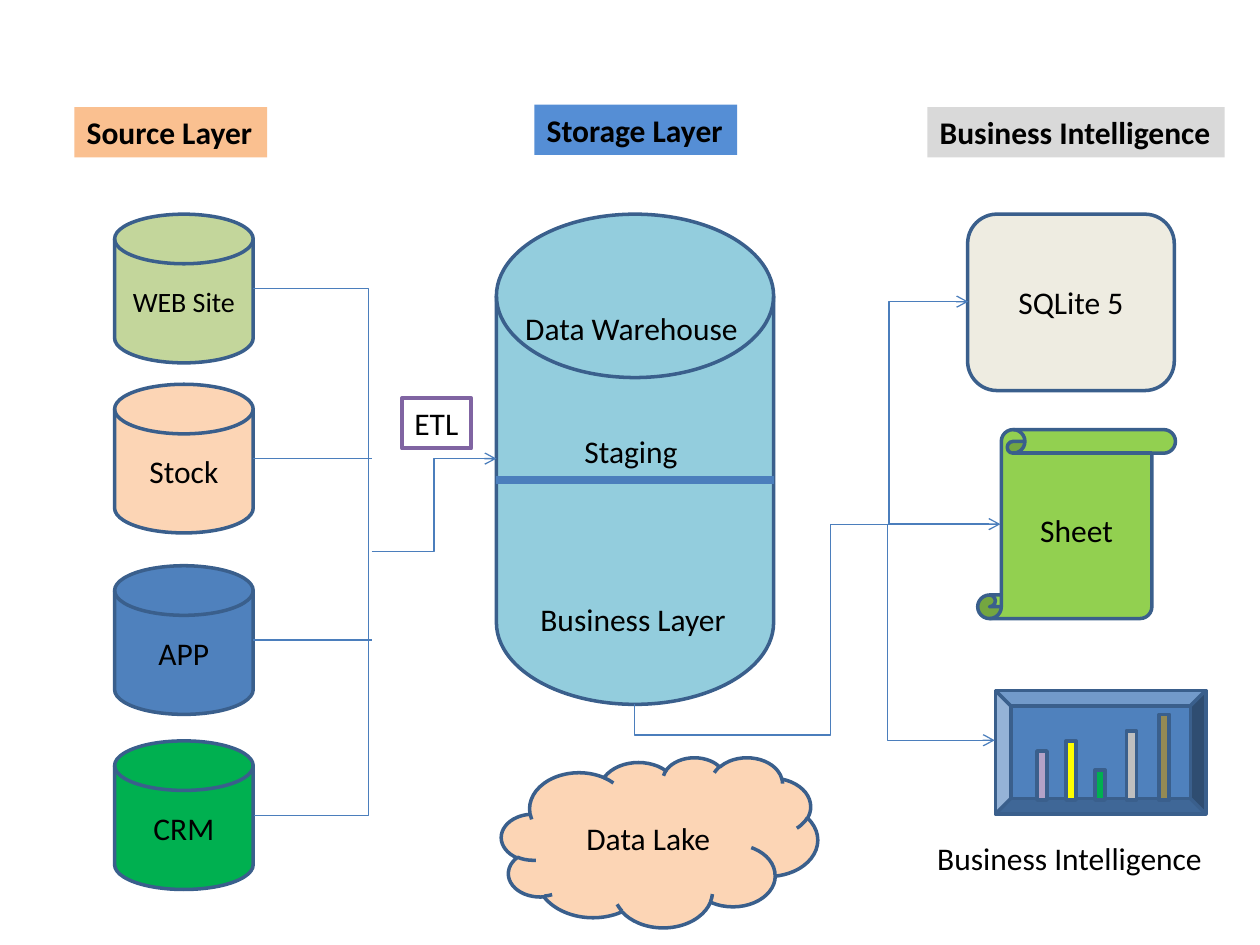
import pptx
import pptx.util
import pptx.dml.color
import pptx.enum.shapes
import pptx.enum.text
import pptx.oxml.ns
import lxml.etree

Inches = pptx.util.Inches
Pt = pptx.util.Pt
SHAPE = pptx.enum.shapes.MSO_SHAPE
ALIGN = pptx.enum.text.PP_ALIGN
qn = pptx.oxml.ns.qn
COLORS = {
    "black": "000000", "outline": "3A5F8C", "connector": "4B7EBC",
    "teal": "93CDDD", "sage": "C3D69B", "peach": "FCD5B5", "blue": "4F81BD",
    "green": "00B050", "cream": "EEECE1", "lime": "92D050", "orange": "FAC090",
    "sky": "558ED5", "gray": "D9D9D9", "violet": "8064A2", "lilac": "B3A2C7",
    "yellow": "FFFF00", "silver": "BFBFBF", "khaki": "948A54",
}
RGB = {name: pptx.dml.color.RGBColor.from_string(code) for name, code in COLORS.items()}

deck = pptx.Presentation()
deck.slide_width = Inches(10)
deck.slide_height = Inches(7.5)
page = deck.slides.add_slide(deck.slide_layouts[6])


def write(shape, text, size=18, bold=False, align=ALIGN.CENTER):
    para = shape.text_frame.paragraphs[0]
    para.alignment = align
    span = para.add_run()
    span.text = text
    span.font.name = "Calibri"
    span.font.size = Pt(size)
    span.font.bold = bold
    span.font.color.rgb = RGB["black"]


def connect(start, end, preset="line", turn=0, bends=(), arrow=False, width=0.75):
    line = page.shapes.add_connector(
        pptx.enum.shapes.MSO_CONNECTOR.STRAIGHT, *map(Inches, start + end))
    line.line.color.rgb = RGB["connector"]
    line.line.width = Pt(width)
    properties = line._element.spPr
    if turn:
        properties.find(qn("a:xfrm")).set("rot", str(turn * 60000))
    geometry = properties.find(qn("a:prstGeom"))
    geometry.set("prst", preset)
    for number, bend in enumerate(bends, 1):
        name = "adj" if preset == "line" else f"adj{number}"
        lxml.etree.SubElement(geometry.find(qn("a:avLst")), qn("a:gd"),
                              name=name, fmla=f"val {round(bend * 100000)}")
    if arrow:
        lxml.etree.SubElement(line.line._get_or_add_ln(), qn("a:tailEnd"), type="arrow")
    lxml.etree.SubElement(properties, qn("a:effectLst"))


DISK = SHAPE.FLOWCHART_MAGNETIC_DISK
blocks = [
    (DISK, 3.94, 1.7, 2.2, 3.89, "teal", "", 18),
    (DISK, 0.91, 1.7, 1.1, 1.18, "sage", "WEB Site", 16),
    (DISK, 0.91, 3.05, 1.1, 1.18, "peach", "Stock", 18),
    (DISK, 0.91, 4.49, 1.1, 1.18, "blue", "APP", 18),
    (DISK, 0.91, 5.88, 1.1, 1.18, "green", "CRM", 18),
    (SHAPE.FLOWCHART_ALTERNATE_PROCESS, 7.68, 1.7, 1.64, 1.4, "cream", "SQLite 5", 18),
    (SHAPE.VERTICAL_SCROLL, 7.76, 3.41, 1.57, 1.5, "lime", "Sheet", 18),
    (SHAPE.CLOUD, 3.98, 6.01, 2.51, 1.35, "peach", "Data Lake", 18),
    (SHAPE.BEVEL, 7.9, 5.48, 1.67, 0.98, "blue", "", 18),
]
bars = [(8.23, 0.39, "lilac"), (8.46, 0.47, "yellow"), (8.69, 0.24, "green"),
        (8.94, 0.55, "silver"), (9.2, 0.68, "khaki")]
for left, height, color in bars:
    blocks.append((SHAPE.RECTANGLE, left, 6.35 - height, 0.08, height, color, "", 18))

for preset, left, top, width, height, color, text, size in blocks:
    block = page.shapes.add_shape(preset, *map(Inches, (left, top, width, height)))
    block.shadow.inherit = False
    block.fill.solid()
    block.fill.fore_color.rgb = RGB[color]
    block.line.color.rgb = RGB["outline"]
    block.line.width = Pt(2)
    if text:
        block.text_frame.vertical_anchor = pptx.enum.text.MSO_ANCHOR.MIDDLE
        write(block, text, size)

connect((3.94, 3.81), (6.14, 3.81), width=4.5)
connect((6.75, 5.88), (5.33, 3.87), "bentConnector4", 90, (-0.175, 0.775))
connect((7.05, 4.16), (7.94, 4.16), arrow=True)
connect((8.33, 4.59), (6.61, 5.44), "bentConnector2", 270, arrow=True)
connect((8.25, 3.59), (6.49, 2.96), "bentConnector2", 90, arrow=True)
connect((2.01, 2.29), (2.02, 6.47), "bentConnector3", bends=(93,))
for middle in (3.64, 5.08):
    connect((2.01, middle), (2.95, middle))
connect((2.95, 4.38), (3.94, 3.64), "bentConnector3", bends=(0.5,), arrow=True)

labels = [
    ("Data Warehouse", 4.07, 2.4, 1.89, None, None),
    ("Staging", 4.54, 3.38, 0.95, None, None),
    ("Business Layer", 4.19, 4.71, 1.69, None, None),
    ("Business Intelligence", 7.34, 6.61, 2.33, None, None),
    ("Source Layer", 0.59, 0.85, 1.53, "orange", None),
    ("Storage Layer", 4.24, 0.83, 1.61, "sky", None),
    ("Business Intelligence", 7.36, 0.85, 2.36, "gray", None),
    ("ETL", 3.19, 3.16, 0.55, None, "violet"),
]
for text, left, top, width, fill, border in labels:
    box = page.shapes.add_textbox(*map(Inches, (left, top, width, 0.4)))
    box.text_frame.word_wrap = False
    box.text_frame.auto_size = pptx.enum.text.MSO_AUTO_SIZE.SHAPE_TO_FIT_TEXT
    if fill:
        box.fill.solid()
        box.fill.fore_color.rgb = RGB[fill]
    if border:
        box.line.color.rgb = RGB[border]
        box.line.width = Pt(2.25)
    write(box, text, bold=fill is not None, align=ALIGN.LEFT)

deck.save("out.pptx")
